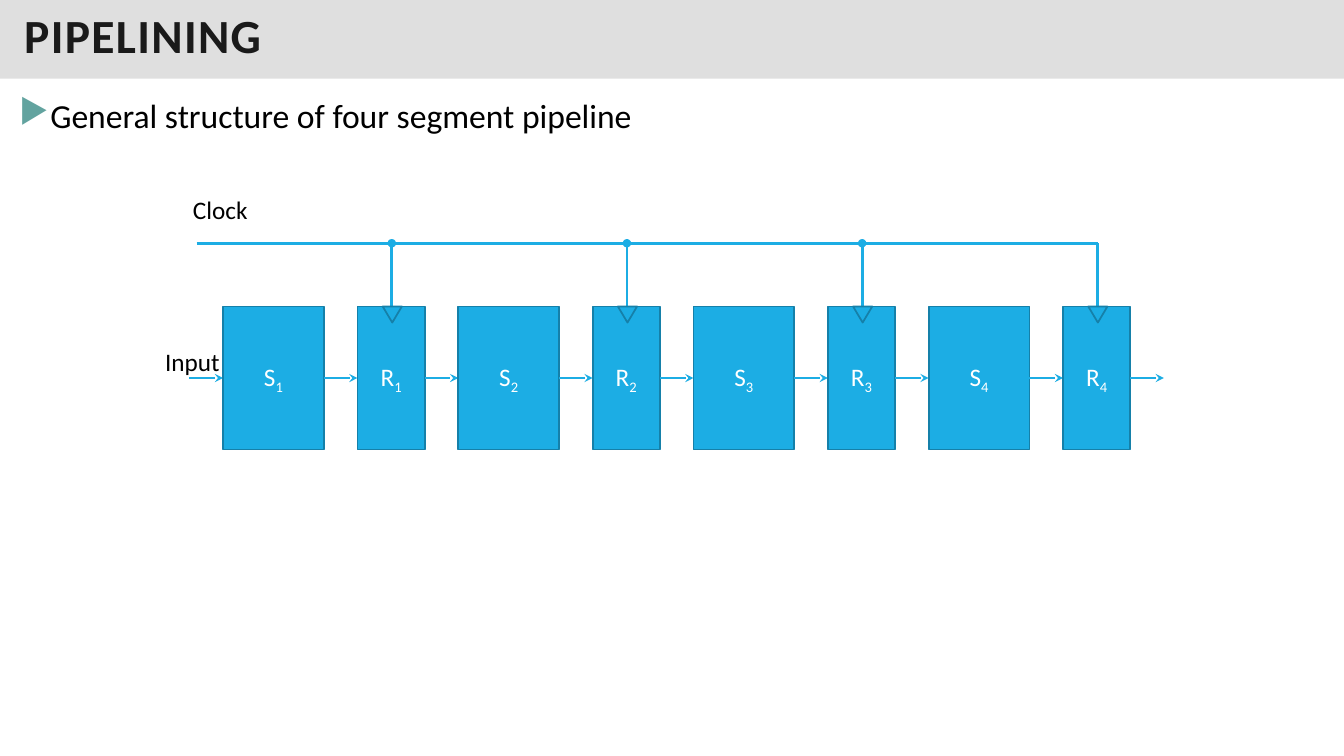
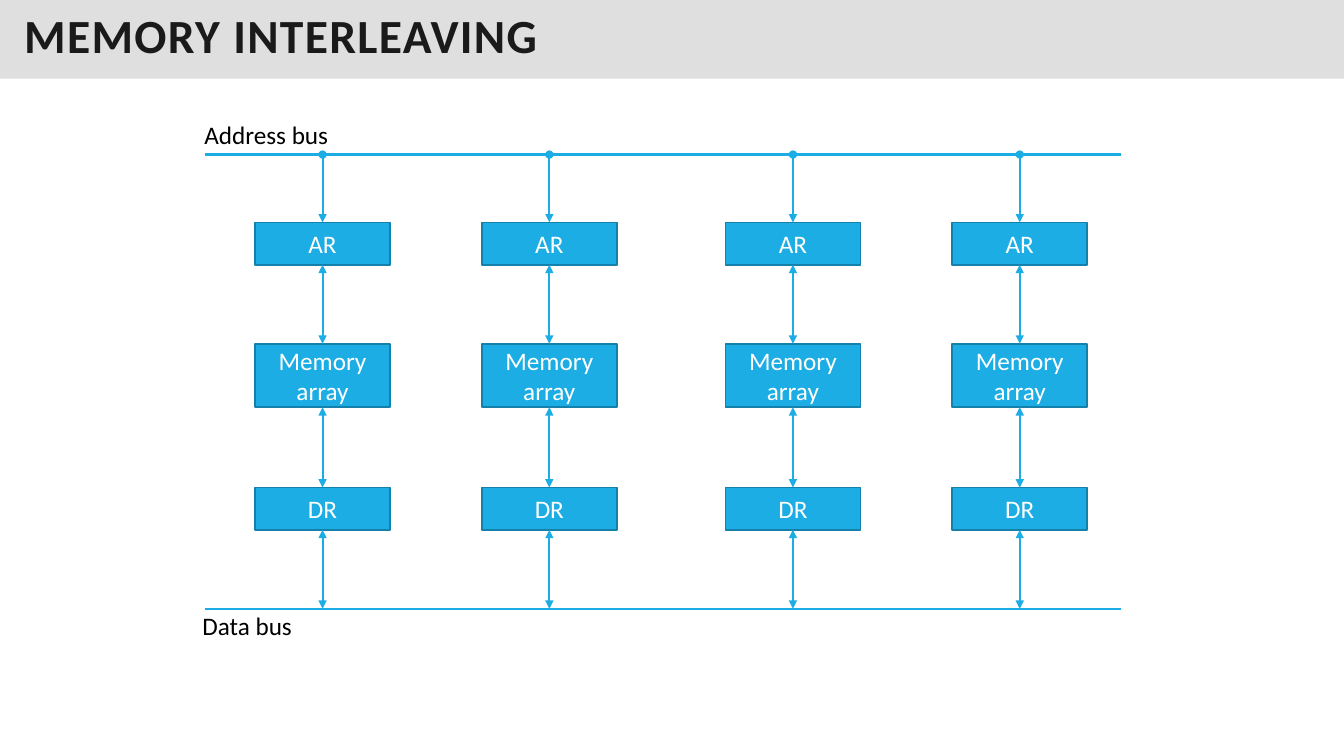
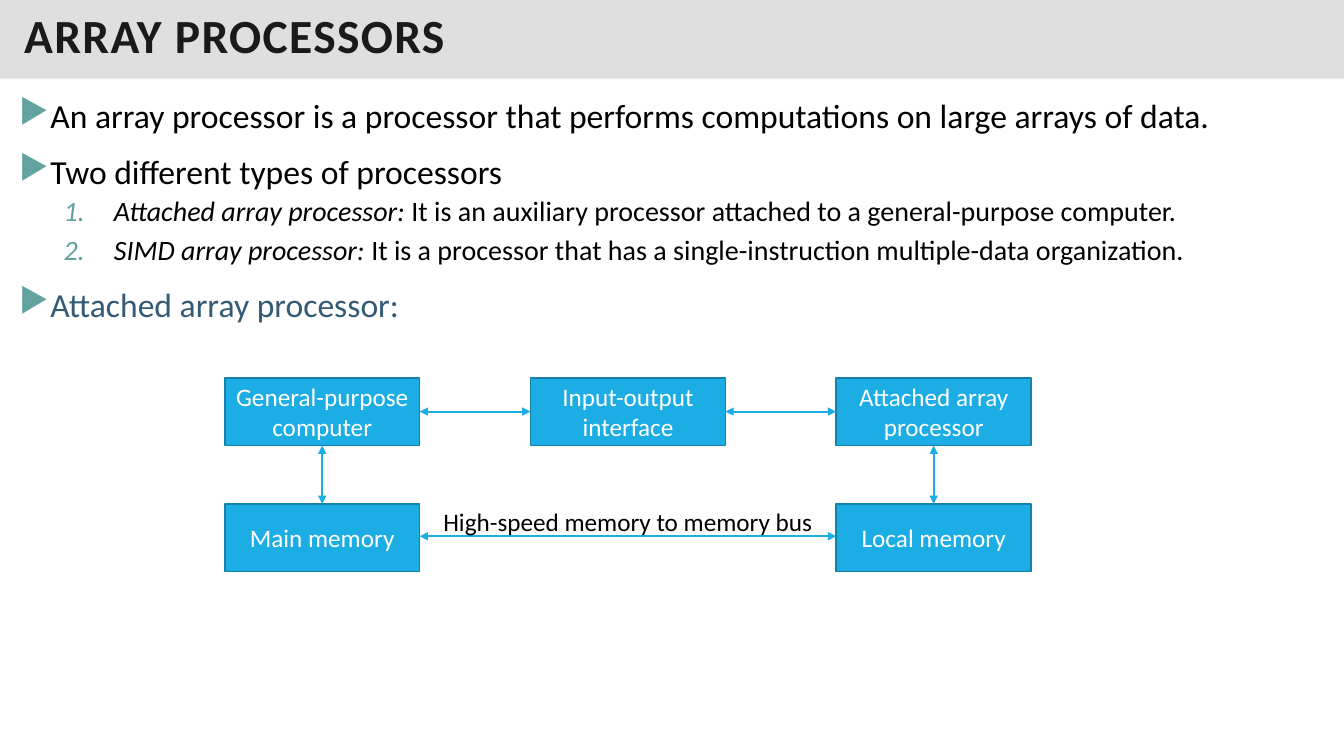
"""Three slides on pipelining, memory interleaving and array processors."""
from itertools import pairwise

from lxml.etree import SubElement
from pptx import Presentation
from pptx.dml.color import RGBColor
from pptx.enum.shapes import MSO_CONNECTOR, MSO_SHAPE as Kind
from pptx.enum.text import MSO_ANCHOR as Anchor, PP_ALIGN as Align
from pptx.oxml.ns import qn
from pptx.util import Inches, Pt

COLUMNS, ROWS = 40, 22.5
CELL = Inches(1) / 3
FONT = "Calibri"
SKY = RGBColor(0x1C, 0xAD, 0xE4)
EDGE = RGBColor(0x15, 0x80, 0xA9)
BAND = RGBColor(0xC0, 0xC0, 0xC0)
TITLE = RGBColor(0x1A, 0x1A, 0x1A)
BULLET = RGBColor(0x62, 0xA3, 0x9F)
NAVY = RGBColor(0x33, 0x5B, 0x74)
BLACK = RGBColor(0, 0, 0)
WHITE = RGBColor(255, 255, 255)


def put(page, kind, area, lines=(), size=18, fill=SKY, edge=EDGE, ink=WHITE, align=Align.CENTER):
    """Place a shape, or a text box when kind is None; a line is a list of (text, attributes)."""
    area = [round(value * CELL) for value in area]
    if kind is None:
        box = page.shapes.add_textbox(*area)
    else:
        box = page.shapes.add_shape(kind, *area)
        box.shadow.inherit = False
        box.fill.solid()
        box.fill.fore_color.rgb = fill
        box.line.fill.background()
        if edge is not None:
            box.line.color.rgb = edge
            box.line.width = Pt(1.25)
        box.text_frame.vertical_anchor = Anchor.MIDDLE
    frame = box.text_frame
    frame.word_wrap = True
    for number, spans in enumerate(lines):
        para = frame.add_paragraph() if number else frame.paragraphs[0]
        para.alignment = align
        for text, attributes in spans:
            span = para.add_run()
            span.text = text
            span.font.name = FONT
            span.font.size = Pt(size)
            span.font.color.rgb = ink
            for name, value in attributes.items():
                span.font._element.set(name, value)
    return box


def link(page, start, end, head="none", tail="none", weight=1.5):
    """Draw a straight line between two grid points."""
    ends = [round(value * CELL) for value in (*start, *end)]
    line = page.shapes.add_connector(MSO_CONNECTOR.STRAIGHT, *ends)
    line.line.color.rgb = SKY
    line.line.width = Pt(weight)
    stroke = line.line._get_or_add_ln()
    SubElement(stroke, qn("a:headEnd"), type=head)
    SubElement(stroke, qn("a:tailEnd"), type=tail)
    SubElement(line._element.spPr, qn("a:effectLst"))


deck = Presentation()
deck.slide_width = round(COLUMNS * CELL)
deck.slide_height = round(ROWS * CELL)

ITALIC = {"i": "1", "sz": "2000"}
PLAIN = {"sz": "2000"}
OUTLINES = {
    "PIPELINING": [(0, BLACK, [("General structure of four segment pipeline", {})])],
    "MEMORY INTERLEAVING": [],
    "ARRAY PROCESSORS": [
        (0, BLACK, [("An array processor is a processor that performs computations on large arrays of data.", {})]),
        (0, BLACK, [("Two different types of processors", {})]),
        (1, BLACK, [("Attached array processor:", ITALIC),
                    (" It is an auxiliary processor attached to a general-purpose computer.", PLAIN)]),
        (1, BLACK, [("SIMD array processor: ", ITALIC),
                    ("It is a processor that has a single-instruction multiple-data organization.", PLAIN)]),
        (0, NAVY, [("Attached array processor:", {})]),
    ],
}
LEVELS = [
    {"margin": 0.29, "hang": 0.29, "before": 12, "after": 2, "mark": ("a:buChar", {"char": "▶"})},
    {"margin": 0.94, "hang": 0.5, "before": 2, "after": 4, "mark": ("a:buAutoNum", {"type": "arabicPeriod"})},
]

pages = []
for title, outline in OUTLINES.items():
    page = deck.slides.add_slide(deck.slide_layouts[6])
    pages.append(page)
    band = put(page, Kind.RECTANGLE, (0, 0, COLUMNS, 2.34), [[(title, {"b": "1", "spc": "100"})]],
               size=34, fill=BAND, edge=None, ink=TITLE, align=Align.LEFT)
    SubElement(band.fill._xPr.find(qn("a:solidFill"))[0], qn("a:alpha"), val="50000")
    frame = band.text_frame
    frame.margin_left = frame.margin_right = Inches(0.24)
    frame.margin_top = frame.margin_bottom = Inches(0.12)
    frame.paragraphs[0].line_spacing = 0.8
    if not outline:
        continue
    body = put(page, None, (0.42, 2.82, 39.15, 1.8 * len(outline)), [spans for _, _, spans in outline],
               size=24, ink=BLACK, align=Align.JUSTIFY)
    frame = body.text_frame
    frame.margin_left = frame.margin_right = Inches(0.05)
    for number, (para, (level, ink, _)) in enumerate(zip(frame.paragraphs, outline)):
        style = LEVELS[level]
        para.level = level
        para.line_spacing = 0.9
        para.space_before = Pt(style["before"] if number else 0)
        para.space_after = Pt(style["after"])
        layout = para._p.get_or_add_pPr()
        layout.set("marL", str(Inches(style["margin"])))
        layout.set("indent", str(-Inches(style["hang"])))
        SubElement(SubElement(layout, qn("a:buClr")), qn("a:srgbClr"), val=str(BULLET))
        tag, attributes = style["mark"]
        SubElement(layout, qn(tag), **attributes)
        for span in para.runs:
            span.font.color.rgb = ink

pipeline, interleaving, processors = pages

FIRST, STAGE, TOP, FLOW, CLOCK = 6.64, 7, 9.12, 11.25, 7.24
starts = [FIRST + STAGE * number for number in range(4)]
link(pipeline, (FIRST - 1, FLOW), (FIRST, FLOW), tail="stealth", weight=2)
for number, left in enumerate(starts, 1):
    for letter, offset, width in (("S", 0, 3), ("R", 4, 2)):
        put(pipeline, Kind.RECTANGLE, (left + offset, TOP, width, 4.26),
            [[(letter, {}), (str(number), {"baseline": "-25000"})]])
        exit_x = left + offset + width
        link(pipeline, (exit_x, FLOW), (exit_x + 1, FLOW), tail="stealth", weight=2)
link(pipeline, (5.85, CLOCK), (starts[-1] + 5.03, CLOCK), weight=2)
for left in starts:
    link(pipeline, (left + 5.02, TOP + 0.3), (left + 5.02, CLOCK),
         tail="none" if left == starts[-1] else "oval", weight=2)
    notch = put(pipeline, Kind.ISOSCELES_TRIANGLE, (left + 4.75, TOP, 0.57, 0.48))
    notch.rotation = 180
for text, left, top in (("Clock", 5.45, 5.64), ("Input", 4.62, 10.17)):
    put(pipeline, None, (left, top, 3, 1.2), [[(text, {})]], ink=BLACK, align=Align.LEFT)

ADDRESS, DATA, WIDTH = 4.6, 18.12, 4.02
CHAIN = [("AR", 6.62, 1.26), ("Memory array", 10.23, 1.89), ("DR", 14.51, 1.26)]
stops = [(ADDRESS, ADDRESS), *((top, top + height) for _, top, height in CHAIN), (DATA, DATA)]
for centre in (9.6, 16.35, 23.6, 30.35):
    for text, top, height in CHAIN:
        put(interleaving, Kind.RECTANGLE, (centre - WIDTH / 2, top, WIDTH, height), [[(text, {})]])
    for (_, start), (end, _) in pairwise(stops):
        link(interleaving, (centre, start), (centre, end),
             head="oval" if start == ADDRESS else "triangle", tail="triangle")
for text, bus, left, top in (("Address bus", ADDRESS, 5.79, 3.39), ("Data bus", DATA, 5.73, 18.03)):
    link(interleaving, (6.1, bus), (33.36, bus))
    put(interleaving, None, (left, top, 4.5, 1.2), [[(text, {})]], ink=BLACK, align=Align.LEFT)

LEFT, STEP, WIDE, TALL, UPPER, LOWER = 6.69, 9.1, 5.8, 2.01, 11.25, 15
UNITS = [
    ("General-purpose computer", 0, UPPER),
    ("Input-output interface", 1, UPPER),
    ("Attached array processor", 2, UPPER),
    ("Main memory", 0, LOWER),
    ("Local memory", 2, LOWER),
]
for text, column, top in UNITS:
    put(processors, Kind.RECTANGLE, (LEFT + STEP * column, top, WIDE, TALL), [[(text, {})]])
for first, last, y in ((0, 1, UPPER + 1), (1, 2, UPPER + 1), (0, 2, LOWER + 0.96)):
    link(processors, (LEFT + STEP * last, y), (LEFT + STEP * first + WIDE, y), head="triangle", tail="triangle")
for column in (0, 2):
    x = LEFT + STEP * column + WIDE / 2
    link(processors, (x, UPPER + TALL), (x, LOWER), head="triangle", tail="triangle")
put(processors, None, (12.9, 14.91, 12.42, 1.29), [[("High-speed memory to memory bus", {})]],
    ink=BLACK, align=Align.LEFT)

deck.save("out.pptx")
